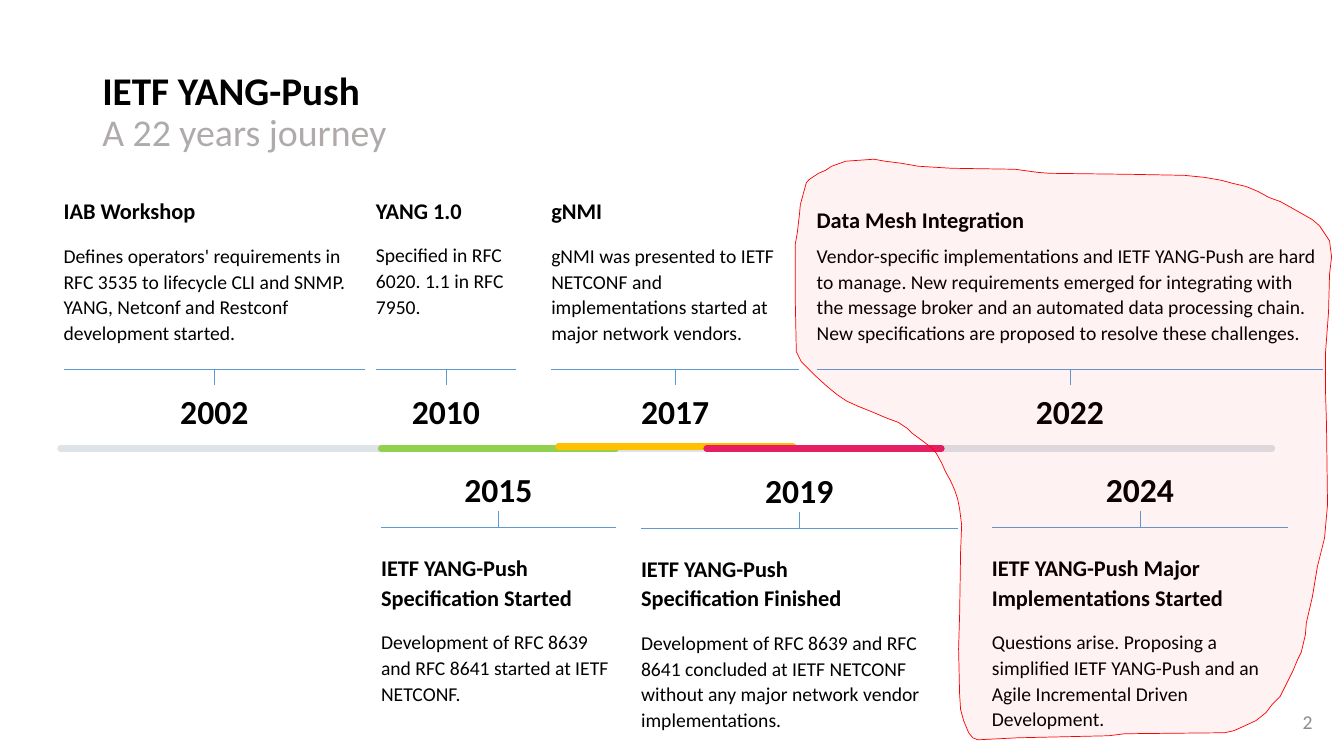
from lxml import etree
from pptx import Presentation
from pptx import util as u
from pptx.dml.color import RGBColor
from pptx.enum import shapes, text
from pptx.oxml import ns

Pt = u.Pt
BLUE, BLACK = "5B9BD5", "000000"
TOP, MID, LOW = text.MSO_ANCHOR.TOP, text.MSO_ANCHOR.MIDDLE, text.MSO_ANCHOR.BOTTOM
LEFT, MIDDLE, RIGHT = text.PP_ALIGN.LEFT, text.PP_ALIGN.CENTER, text.PP_ALIGN.RIGHT
PAD, STEM, YEAR, BODY = 17.28, 11.4, 34, 130.3

# year, left, rule height, width, above the axis, head, body, gap before body, bottom inset
EVENTS = [
    ("2002", 45.4, 263.5, 215.3, True, "IAB Workshop",
     "Defines operators' requirements in RFC 3535 to lifecycle CLI and SNMP. "
     "YANG, Netconf and Restconf development started.", 6, PAD),
    ("2017", 393.8, 263.5, 177.1, True, "gNMI",
     "gNMI was presented to IETF NETCONF and implementations started at "
     "major network vendors.", 6, PAD),
    ("2022", 583.4, 263.5, 361.6, True, "Data Mesh Integration",
     "Vendor-specific implementations and IETF YANG-Push are hard to manage. "
     "New requirements emerged for integrating with the message broker and an "
     "automated data processing chain. New specifications are proposed to "
     "resolve these challenges.", 0, PAD),
    ("2015", 272.2, 376.6, 167.8, False, "IETF YANG-Push Specification Started",
     "Development of RFC 8639 and RFC 8641 started at IETF NETCONF.", 6, PAD),
    ("2019", 457.9, 377.3, 226.1, False, "IETF YANG-Push \nSpecification Finished",
     "Development of RFC 8639 and RFC 8641 concluded at IETF NETCONF without "
     "any major network vendor implementations.", 6, PAD),
    ("2024", 708.5, 376.6, 211.7, False, "IETF YANG-Push Major\nImplementations Started",
     "Questions arise. Proposing a simplified IETF YANG-Push and an Agile "
     "Incremental Driven Development.", 6, PAD),
    ("2010", 268.5, 263.5, 100.1, True, "YANG 1.0",
     "Specified in RFC 6020. 1.1 in RFC 7950.", 6, 36),
]

# Left, right, height and colour of each stretch of the axis
BASE = [(43.2, 908.6, 320.4, "DDE3E7"), (272.2, 439.9, 320.4, "92D050")]
LATER = [(398.9, 566.6, 319, "FFC000"), (504.7, 672.5, 320.4, "E61E64")]

# Outline of the highlighted area, in steps of 0.72 pt
BLOB = [
    (867, 158), (839, 160), (825, 165), (819, 169), (812, 172), (803, 178),
    (800, 181), (797, 192), (794, 203), (793, 214), (792, 222), (791, 231),
    (789, 242), (789, 300), (790, 349), (792, 353), (795, 359), (801, 365),
    (808, 372), (820, 383), (831, 392), (840, 398), (851, 403), (866, 409),
    (880, 415), (891, 419), (900, 425), (905, 430), (916, 438), (925, 445),
    (929, 450), (934, 459), (938, 468), (943, 477), (947, 486), (950, 495),
    (952, 505), (954, 521), (953, 547), (952, 610), (951, 644), (952, 689),
    (953, 704), (956, 715), (961, 727), (965, 732), (970, 734), (1010, 732),
    (1100, 730), (1116, 728), (1215, 727), (1224, 725), (1233, 721),
    (1246, 715), (1256, 707), (1262, 699), (1270, 691), (1274, 683),
    (1282, 667), (1288, 653), (1291, 647), (1295, 630), (1296, 618),
    (1299, 605), (1302, 592), (1307, 562), (1314, 534), (1317, 501),
    (1316, 421), (1315, 388), (1315, 350), (1318, 310), (1319, 272),
    (1321, 255), (1319, 239), (1315, 233), (1309, 224), (1302, 218),
    (1281, 206), (1270, 200), (1259, 196), (1248, 190), (1236, 185),
    (1223, 182), (1212, 179), (1195, 176), (1175, 174), (1120, 173),
    (1041, 172), (1029, 171), (1007, 168), (944, 167), (911, 165),
    (894, 162), (878, 160),
]


def tint(hue):
    return RGBColor.from_string(hue)


def box(pool, x, y, w, h, anchor, pads=(7.2, 3.6, 7.2, 3.6)):
    """Add an empty text box; pads run left, top, right, bottom."""
    shape = pool.add_textbox(Pt(x), Pt(y), Pt(w), Pt(h))
    frame = shape.text_frame
    frame.word_wrap = True
    frame.vertical_anchor = anchor
    (frame.margin_left, frame.margin_top,
     frame.margin_right, frame.margin_bottom) = map(Pt, pads)
    return shape


def write(para, words, size, hue=BLACK, bold=False):
    """Add one run for each line of the words, with breaks between."""
    for i, line in enumerate(words.split("\n")):
        if i:
            para.add_line_break()
        run = para.add_run()
        run.text = line
        font = run.font
        font.name, font.size, font.bold = "Calibri", Pt(size), bold
        font.color.rgb = tint(hue)


def layout(para, space, align=LEFT, before=0, after=0):
    para.line_spacing, para.alignment = space, align
    para.space_before, para.space_after = Pt(before), Pt(after)


def rule(pool, x1, y1, x2, y2, hue, width, cap="flat"):
    line = pool.add_connector(
        shapes.MSO_CONNECTOR.STRAIGHT, Pt(x1), Pt(y1), Pt(x2), Pt(y2))
    line.line.color.rgb = tint(hue)
    line.line.width = Pt(width)
    props = line._element.spPr
    props.find(ns.qn("a:ln")).set("cap", cap)
    etree.SubElement(props, ns.qn("a:effectLst"))
    return line


def event(slide, year, x, y, w, above, head, body, gap, foot):
    """Group a year, its rule and stem, and its text block."""
    pool = slide.shapes.add_group_shape().shapes
    rule(pool, x, y, x + w, y, BLUE, 0.5)
    tip = y + STEM if above else y - STEM
    date = box(pool, x, tip if above else tip - YEAR, w, YEAR, MID, (0, 0, 0, 0))
    para = date.text_frame.paragraphs[0]
    layout(para, 1.1, MIDDLE)
    write(para, year, 24, bold=True)
    note = box(pool, x, y - BODY if above else y, w, BODY,
               LOW if above else TOP, (0, PAD, 0, foot))
    para = note.text_frame.paragraphs[0]
    layout(para, 1.1, after=6)
    write(para, head, 16, bold=True)
    para = note.text_frame.add_paragraph()
    layout(para, 1.1, before=gap)
    write(para, body, 14)
    stem = rule(pool, x + w / 2, y, x + w / 2, tip, BLUE, 0.5)
    stem.begin_connect(note, 2 if above else 0)
    stem.end_connect(date, 0 if above else 2)


def axis(slide, parts):
    for x1, x2, y, hue in parts:
        rule(slide.shapes, x1, y, x2, y, hue, 4.5, "rnd")


def blob(slide):
    path = slide.shapes.build_freeform(*BLOB[0], scale=Pt(0.72))
    path.add_line_segments(BLOB[1:], close=True)
    area = path.convert_to_shape()
    area.shadow.inherit = False
    area.fill.solid()
    area.fill.fore_color.rgb = tint("FF0000")
    hue = area._element.spPr.find(ns.qn("a:solidFill"))[0]
    etree.SubElement(hue, ns.qn("a:alpha"), val="5000")
    area.line.color.rgb = tint("FF0000")
    area.line.width = Pt(0.5)


def title(slide):
    para = box(slide.shapes, 66, 28.8, 828, 104.4, MID).text_frame.paragraphs[0]
    layout(para, 0.9)
    write(para, "IETF YANG-Push", 28, bold=True)
    para.add_line_break()
    write(para, "A 22 years journey", 27, "AFABAB")


def number(slide):
    para = box(slide.shapes, 912.2, 501.1, 32.4, 28.8, MID).text_frame.paragraphs[0]
    layout(para, 1.0, RIGHT)
    write(para, "2", 14, "8C8C8C")


def main():
    deck = Presentation()
    deck.slide_width, deck.slide_height = Pt(960), Pt(540)
    slide = deck.slides.add_slide(deck.slide_layouts[6])
    number(slide)
    title(slide)
    axis(slide, BASE)
    for item in EVENTS:
        event(slide, *item)
    axis(slide, LATER)
    blob(slide)
    deck.save("out.pptx")


if __name__ == "__main__":
    main()
